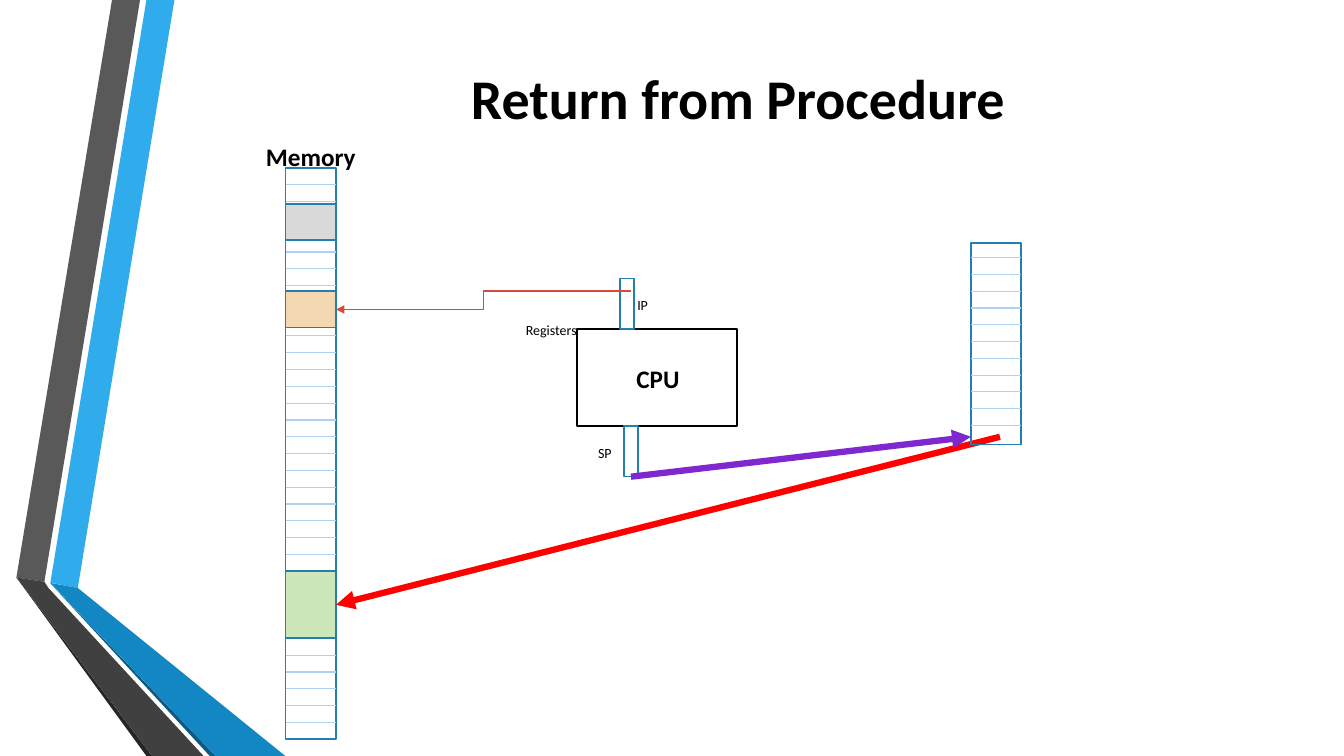
import pptx
import pptx.dml.color
import pptx.enum.shapes
import pptx.enum.text
import pptx.oxml
import pptx.oxml.ns
import pptx.util

Pt = pptx.util.Pt
RGB = pptx.dml.color.RGBColor
MSO = pptx.enum.shapes.MSO_SHAPE
CONNECTOR = pptx.enum.shapes.MSO_CONNECTOR
ANCHOR = pptx.enum.text.MSO_ANCHOR

BLACK = RGB(0x00, 0x00, 0x00)
BORDER = RGB(0x24, 0x7F, 0xAF)
ROW_LINE = RGB(0xAE, 0xD2, 0xF4)
GREY = RGB(0xD9, 0xD9, 0xD9)
ORANGE = RGB(0xF3, 0xD8, 0xB2)
GREEN = RGB(0xCC, 0xE7, 0xB9)
RED = RGB(0xFF, 0x00, 0x00)
PURPLE = RGB(0x7E, 0x28, 0xCD)
BRICK = RGB(0xD6, 0x4A, 0x3B)
SKY = RGB(0x30, 0xAC, 0xEC)
BLUE = RGB(0x12, 0x87, 0xC3)
NAVY = RGB(0x0C, 0x5A, 0x82)
MID_GREY = RGB(0x59, 0x59, 0x59)
DARK_GREY = RGB(0x40, 0x40, 0x40)
CHARCOAL = RGB(0x26, 0x26, 0x26)

MEMORY_X, STACK_X, CELL_W, ROW = 204, 693.5, 36, 12

prs = pptx.Presentation()
prs.slide_width, prs.slide_height = Pt(960), Pt(540)
s = prs.slides.add_slide(prs.slide_layouts[6])


def add_box(x, y, w, h, fill=None, line=BORDER):
    sp = s.shapes.add_shape(MSO.RECTANGLE, Pt(x), Pt(y), Pt(w), Pt(h))
    sp.shadow.inherit = False
    if fill is None:
        sp.fill.background()
    else:
        sp.fill.solid()
        sp.fill.fore_color.rgb = fill
    sp.line.color.rgb = line
    sp.line.width = Pt(1.25)
    return sp


def add_line(start, end, color, width, kind=CONNECTOR.STRAIGHT, arrow=False):
    c = s.shapes.add_connector(kind, *map(Pt, start + end))
    c.line.color.rgb = color
    c.line.width = Pt(width)
    if arrow:
        tail = pptx.oxml.ns.qn("a:tailEnd")
        c.line._get_or_add_ln().makeelement(tail)
        ln = c.line._get_or_add_ln()
        ln.append(ln.makeelement(tail, {"type": "triangle"}))
    sp_pr = c._element.spPr
    sp_pr.append(sp_pr.makeelement(pptx.oxml.ns.qn("a:effectLst")))


# Folded ribbons on the left edge
ribbons = [
    (SKY, [(36, 416.2), (55.6, 420), (124.6, 0), (104.6, 0)]),
    (MID_GREY, [(100, 0), (80, 0), (11.7, 412.5), (31.7, 415.6)]),
    (CHARCOAL, [(11.7, 412.5), (104.6, 540), (108.7, 540)]),
    (NAVY, [(36, 416.7), (149.8, 540), (154, 540)]),
    (BLUE, [(36, 416.4), (154, 540), (203.8, 540), (55.6, 420)]),
    (DARK_GREY, [(145.4, 540), (34.6, 420), (31.7, 415.6), (11.7, 412.5),
                 (108.7, 540)]),
]
for color, points in ribbons:
    corners = [(Pt(x), Pt(y)) for x, y in points]
    fb = s.shapes.build_freeform(*corners[0])
    fb.add_line_segments(corners[1:], close=True)
    sp = fb.convert_to_shape()
    sp.shadow.inherit = False
    sp.fill.solid()
    sp.fill.fore_color.rgb = color
    sp.line.fill.background()

# Memory column with its rows and marked regions
add_box(MEMORY_X, 120, CELL_W, 34 * ROW)
for i in range(1, 34):
    y = 120 + i * ROW
    add_line((MEMORY_X, y), (MEMORY_X + CELL_W, y), ROW_LINE, 0.75)
for y, h, color in [(145.7, 26, GREY), (208, 26, ORANGE), (408, 48, GREEN)]:
    add_box(MEMORY_X, y, CELL_W, h, color)

# CPU with the SP and IP registers
add_box(412.4, 235, 114, 69.3, line=BLACK)
for x, y in [(432.6, 317.5), (429.8, 212)]:
    add_box(x, y, 36, 10).rotation = 90

# Red pointer, then the stack above it
add_line((714.3, 312), (MEMORY_X + CELL_W, 432), RED, 4.5, arrow=True)
add_box(STACK_X, 173.5, CELL_W, 12 * ROW)
for i in range(11):
    y = 184 + i * ROW
    add_line((STACK_X, y), (STACK_X + CELL_W, y), ROW_LINE, 0.75)

# Register pointers
add_line((450.7, 340.5), (STACK_X, 312), PURPLE, 4.5, arrow=True)
add_line((450.7, 208), (MEMORY_X + CELL_W, 221), BRICK, 1.25,
         CONNECTOR.ELBOW, arrow=True)

# Title and labels
labels = [
    ("Return from Procedure", 132.5, 0, 789, 138.2, 40, True),
    ("CPU", 422, 255.8, 96, 29, 18, True),
    ("Memory", 174, 97.5, 96, 29, 18, True),
    ("Registers", 345.8, 226.3, 96, 19.4, 10, False),
    ("IP", 411, 208.3, 96, 19.4, 10, False),
    ("SP", 384, 314, 96, 19.4, 10, False),
]
for text, x, y, w, h, size, bold in labels:
    tf = s.shapes.add_textbox(Pt(x), Pt(y), Pt(w), Pt(h)).text_frame
    tf.word_wrap = True
    tf.vertical_anchor = ANCHOR.MIDDLE if size == 40 else ANCHOR.TOP
    p = tf.paragraphs[0]
    p.alignment = pptx.enum.text.PP_ALIGN.CENTER
    r = p.add_run()
    r.text = text
    for name, value in {"name": "Calibri", "size": Pt(size), "bold": bold}.items():
        setattr(r.font, name, value)
    r.font.color.rgb = BLACK

prs.save("out.pptx")
